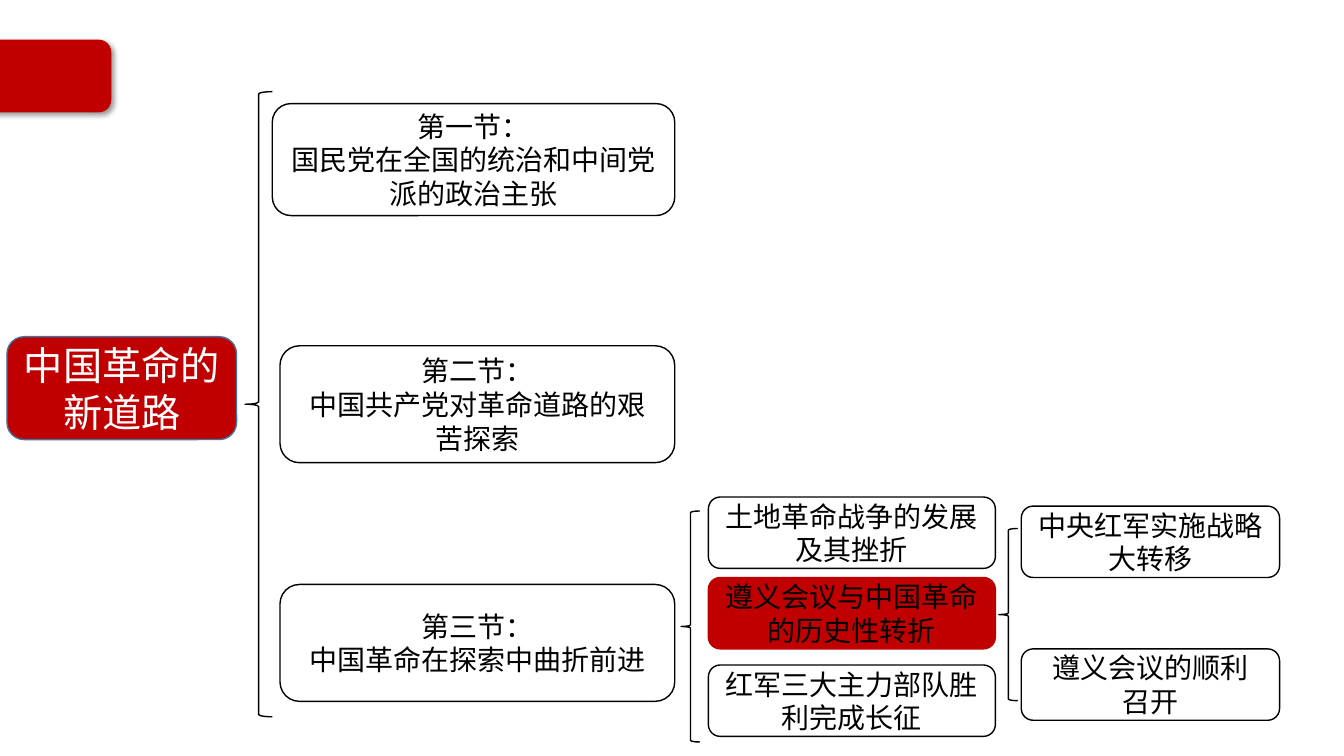
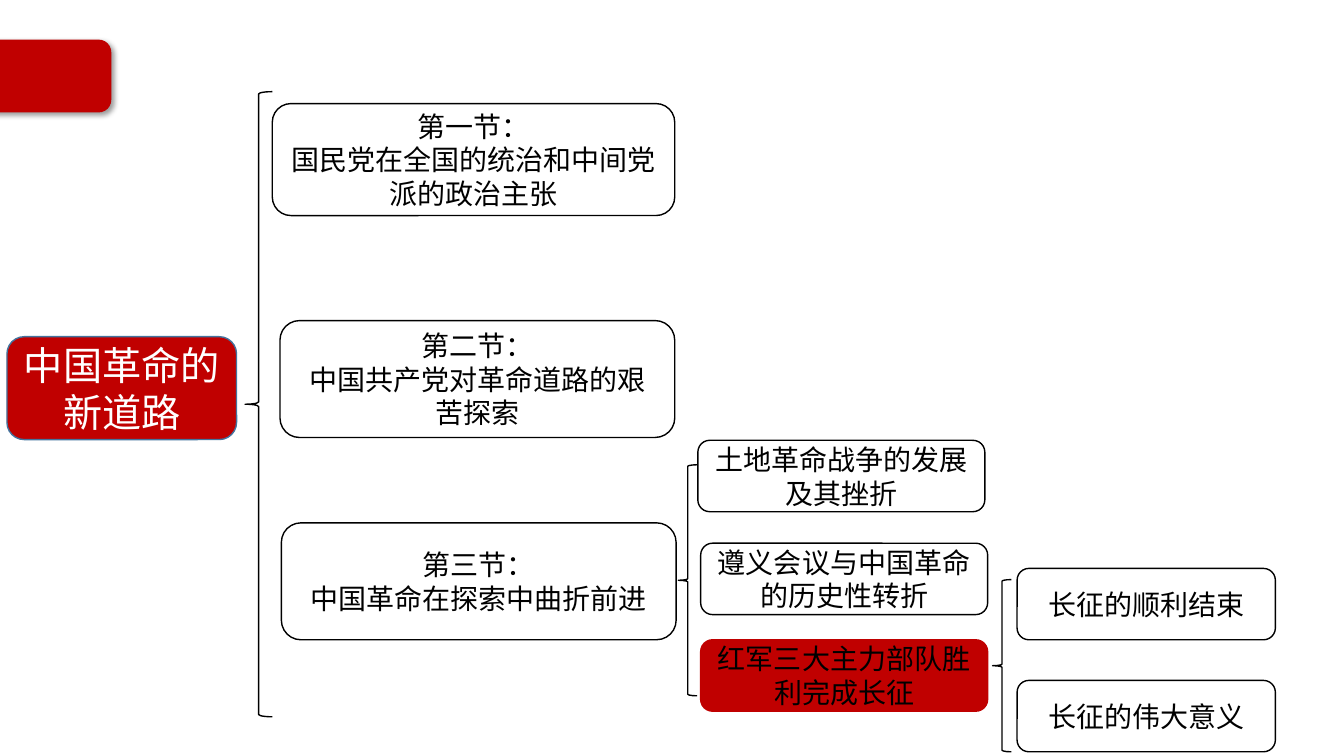
"""Builds two bracket diagrams that outline a chapter on the Chinese revolution."""
from lxml.etree import SubElement
from pptx import Presentation
from pptx.dml.color import RGBColor
from pptx.enum.shapes import MSO_SHAPE as Shape
from pptx.enum.text import MSO_ANCHOR as Anchor, PP_ALIGN as Align
from pptx.oxml.ns import qn
from pptx.util import Pt

COLORS = {"red": "C00000", "edge": "43739E", "ink": "000000", "white": "FFFFFF"}
FONT = "Noto Sans CJK SC"

SECTIONS = [
    "第一节：\n国民党在全国的统治和中间党派的政治主张",
    "第二节：\n中国共产党对革命道路的艰苦探索",
    "第三节：\n中国革命在探索中曲折前进",
]
TOPICS = [
    "土地革命战争的发展\n及其挫折",
    "遵义会议与中国革命的历史性转折",
    "红军三大主力部队胜利完成长征",
]
OUTLINES = [
    {
        "sections": [(200, 247), (200, 417.5)],
        "topic_brace": (486.5, 365),
        "topics": [(506, 355), (506, 412.5), (506, 475)],
        "current": 1,
        "detail_brace": (713.5, 377.5),
        "details": [
            (729.5, 361.5, "中央红军实施战略大转移"),
            (729.5, 463.5, "遵义会议的顺利\n召开"),
        ],
    },
    {
        "sections": [(200, 229), (201, 373.5)],
        "topic_brace": (484.5, 332),
        "topics": [(498.5, 314.5), (500.5, 388), (500.5, 457)],
        "current": 2,
        "detail_brace": (709, 414),
        "details": [
            (726.5, 406, "长征的顺利结束"),
            (726.5, 486, "长征的伟大意义"),
        ],
    },
]


class Diagram:
    """Holds the shared style and the slide being drawn."""

    def __init__(self):
        self.deck = Presentation()
        self.deck.slide_width, self.deck.slide_height = Pt(960), Pt(540)
        self.layout = self.deck.slide_layouts[6]
        self.page = None

    def new_page(self):
        """Starts the next slide."""
        self.page = self.deck.slides.add_slide(self.layout)

    def shape(self, kind, left, top, width, height, fill=None, line="ink"):
        """Draws an outlined preset shape."""
        shape = self.page.shapes.add_shape(
            kind, Pt(left), Pt(top), Pt(width), Pt(height))
        shape.shadow.inherit = False
        if fill:
            shape.fill.solid()
            shape.fill.fore_color.rgb = RGBColor.from_string(COLORS[fill])
        else:
            shape.fill.background()
        shape.line.color.rgb = RGBColor.from_string(COLORS[line])
        shape.line.width = Pt(1)
        return shape

    def corner_tab(self):
        """Moves a shadowed red tab to the layout that all slides share."""
        tab = self.shape(Shape.ROUNDED_RECTANGLE, -13, 28.8, 92, 51, "red", "red")
        effects = tab.element.spPr.find(qn("a:effectLst"))
        shadow = SubElement(
            effects, qn("a:outerShdw"), blurRad=str(Pt(4)), dist=str(Pt(3)),
            dir="2700000", algn="tl", rotWithShape="0")
        color = SubElement(shadow, qn("a:srgbClr"), val=COLORS["ink"])
        SubElement(color, qn("a:alpha"), val="40000")
        self.layout.shapes.element.append(tab.element)

    def brace(self, left, top, width, height):
        """Draws a left brace."""
        self.shape(Shape.LEFT_BRACE, left, top, width, height)

    def box(self, text, left, top, width, height, fill=None, line="ink",
            size=20, color="ink"):
        """Draws a rounded box with centred text."""
        box = self.shape(
            Shape.ROUNDED_RECTANGLE, left, top, width, height, fill, line)
        frame = box.text_frame
        frame.word_wrap = True
        frame.vertical_anchor = Anchor.MIDDLE
        frame.text = text
        for para in frame.paragraphs:
            para.alignment = Align.CENTER
            para.font.size = Pt(size)
            para.font.color.rgb = RGBColor.from_string(COLORS[color])
            para.font.name = FONT
            style = para._p.pPr.find(qn("a:defRPr"))
            SubElement(style, qn("a:ea"), typeface=FONT)

    def outline(self, plan):
        """Draws one chapter outline from left to right."""
        self.box("中国革命的新道路", 5, 240.5, 164, 73.5, "red", "edge", 28, "white")
        self.brace(175, 65.5, 19.5, 446.5)
        self.box(SECTIONS[0], 194.5, 74, 287.5, 80)
        for text, (left, top) in zip(SECTIONS[1:], plan["sections"]):
            self.box(text, left, top, 282, 83.5, "white")
        self.brace(*plan["topic_brace"], 13.5, 165)
        for index, (text, (left, top)) in enumerate(zip(TOPICS, plan["topics"])):
            style = ("red", "red") if index == plan["current"] else (None, "ink")
            self.box(text, left, top, 205, 51, *style)
        self.brace(*plan["detail_brace"], 13.5, 123)
        for left, top, text in plan["details"]:
            self.box(text, left, top, 184.5, 51)


def main():
    """Builds and saves the deck."""
    diagram = Diagram()
    for number, plan in enumerate(OUTLINES):
        diagram.new_page()
        if number == 0:
            diagram.corner_tab()
        diagram.outline(plan)
    diagram.deck.save("out.pptx")


if __name__ == "__main__":
    main()
